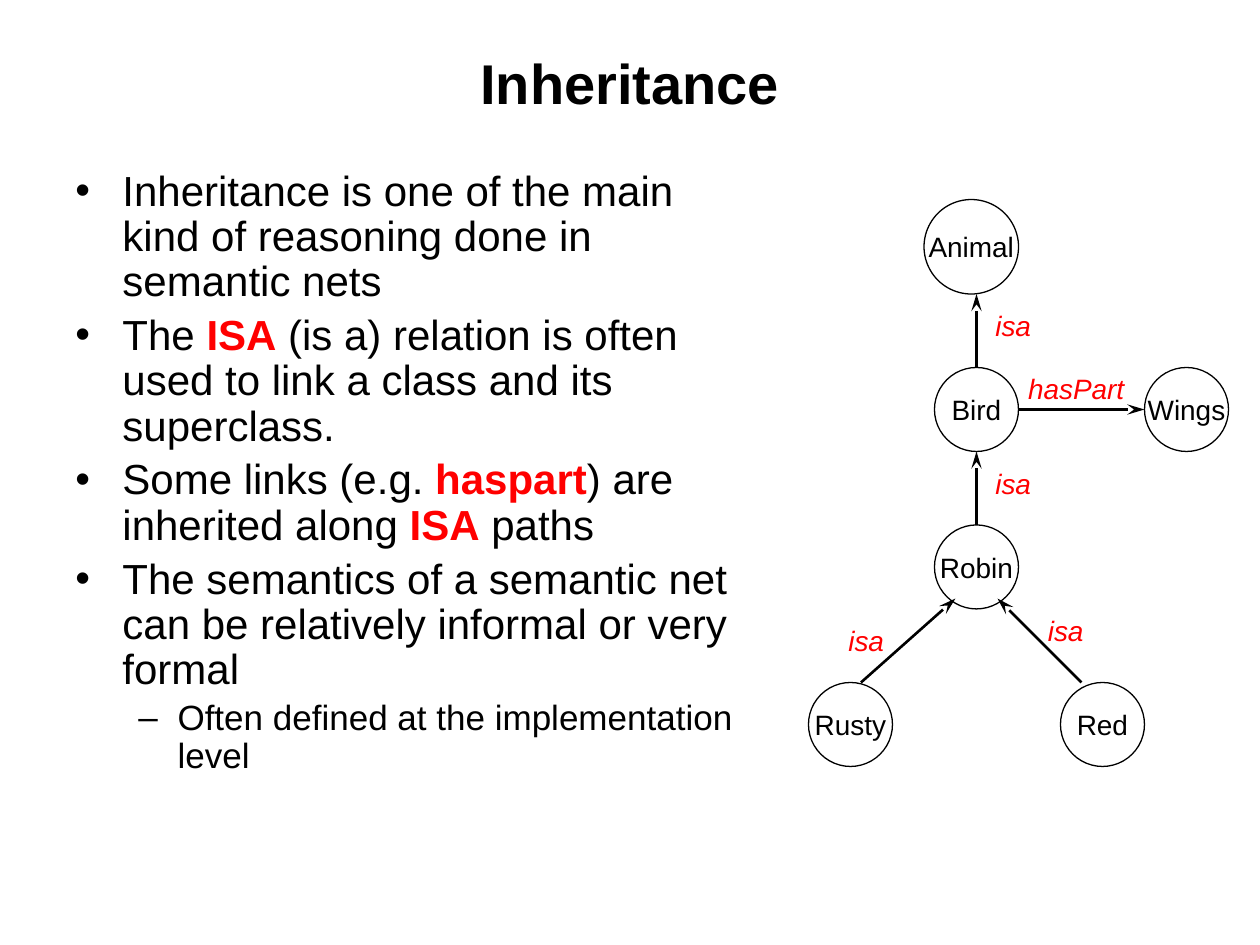
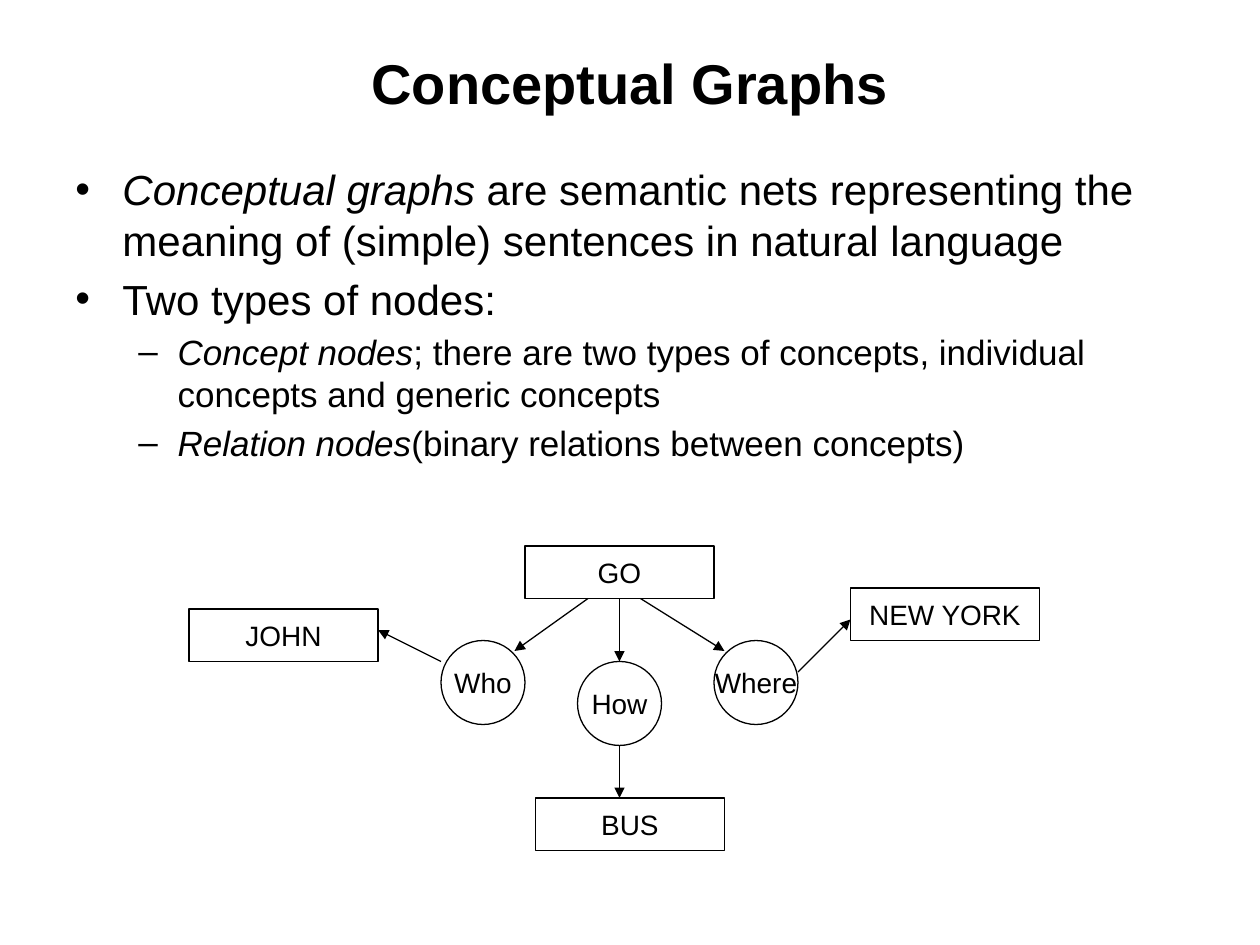
from dataclasses import dataclass

from lxml.etree import SubElement
from pptx import Presentation
from pptx.dml.color import RGBColor
from pptx.enum.shapes import MSO_CONNECTOR, MSO_SHAPE
from pptx.enum.text import MSO_ANCHOR, PP_ALIGN
from pptx.oxml.ns import qn
from pptx.util import Cm, Pt

# Text is a list of (level, runs); a run is (text, style).
# Diagram positions are in twelfths of an inch: nodes and labels by centre.
INHERITANCE = {
    "title": "Inheritance",
    "body_place": (1.27, 3.3, 14.17, 13.84),
    "line_spacing": 0.9,
    "body": [
        (0, [("Inheritance is one of the main kind of reasoning done in semantic nets", "plain")]),
        (0, [("The ", "plain"), ("ISA", "key"),
             (" (is a) relation is often used to link a class and its superclass.", "plain")]),
        (0, [("Some links (e.g. ", "plain"), ("haspart", "key"),
             (") are inherited along ", "plain"), ("ISA", "key"), (" paths", "plain")]),
        (0, [("The semantics of a semantic net can be relatively informal or very formal", "plain")]),
        (1, [("Often defined at the implementation level", "plain")]),
    ],
    "nodes": [
        ("Animal", "large circle", 92.5, 23.5),
        ("Bird", "circle", 93, 39),
        ("Wings", "circle", 113, 39),
        ("Robin", "circle", 93, 54),
        ("Rusty", "circle", 81, 69),
        ("Red", "circle", 105, 69),
    ],
    "arrow": ("stealth", "lg", 1.5),
    "links": [
        ((93, 35), (93, 28)),
        ((97, 39), (109, 39)),
        ((93, 50), (93, 43)),
        ((82, 65), (91, 57)),
        ((103, 65), (95, 57)),
    ],
    # Text, centre and width
    "labels": [
        ("isa", 96.5, 31, 5),
        ("hasPart", 102.5, 37, 11),
        ("isa", 96.5, 46, 5),
        ("isa", 82.5, 61, 5),
        ("isa", 101.5, 60, 5),
    ],
}

CONCEPTUAL_GRAPHS = {
    "title": "Conceptual Graphs",
    "body_place": (1.27, 3.18, 22.86, 6.99),
    "line_spacing": 1.0,
    "body": [
        (0, [("Conceptual graphs ", "term"),
             ("are semantic nets representing the meaning of (simple) sentences"
              " in natural language", "plain")]),
        (0, [("Two types of nodes:", "plain")]),
        (1, [("Concept nodes", "term"),
             ("; there are two types of concepts, individual concepts and generic concepts", "plain")]),
        (1, [("Relation nodes", "term"), ("(binary relations between concepts)", "plain")]),
    ],
    "nodes": [
        ("GO", "box", 59, 54.5),
        ("BUS", "box", 60, 78.5),
        ("NEW YORK", "box", 90, 58.5),
        ("JOHN", "box", 27, 60.5),
        ("Who", "circle", 46, 65),
        ("How", "circle", 59, 67),
        ("Where", "circle", 72, 65),
    ],
    "arrow": ("triangle", "med", 0.75),
    "links": [
        ((59, 57), (59, 63)),
        ((61, 57), (69, 62)),
        ((56, 57), (49, 62)),
        ((59, 71), (59, 76)),
        ((76, 64), (81, 59)),
        ((42, 63), (36, 60)),
    ],
    "labels": [],
}

NODE_KINDS = {
    "circle": (MSO_SHAPE.OVAL, 8, 8),
    "large circle": (MSO_SHAPE.OVAL, 9, 9),
    "box": (MSO_SHAPE.RECTANGLE, 18, 5),
}
LABEL_HEIGHT = 3
TITLE_PLACE = (1.27, 0.76, 22.86, 1.78)
# Per level: bullet, left margin and hanging indent in cm
LEVELS = [("•", 0.95, 0.95), ("–", 2.06, 0.79)]


@dataclass(frozen=True)
class Theme:
    font: str = "Arial"
    ink: RGBColor = RGBColor(0, 0, 0)
    accent: RGBColor = RGBColor(255, 0, 0)
    title_size: int = 32
    body_sizes: tuple = (24, 20)
    diagram_size: int = 16
    outline: float = 0.75


THEME = Theme()


def grid(units):
    return Cm(units * 2.54 / 12)


def centred(x, y, width, height):
    return grid(x - width / 2), grid(y - height / 2), grid(width), grid(height)


def style_font(font, size, color=THEME.ink, bold=False, italic=False):
    font.name = THEME.font
    font.size = Pt(size)
    font.color.rgb = color
    font.bold = bold
    font.italic = italic


def write_centred(frame, text, size, wrap=False, **style):
    frame.word_wrap = wrap
    frame.vertical_anchor = MSO_ANCHOR.MIDDLE
    frame.text = text
    paragraph = frame.paragraphs[0]
    paragraph.alignment = PP_ALIGN.CENTER
    style_font(paragraph.runs[0].font, size, **style)


def add_title(slide, title):
    box = slide.shapes.add_textbox(*map(Cm, TITLE_PLACE))
    write_centred(box.text_frame, title, THEME.title_size, wrap=True, bold=True)


def add_bullet(paragraph, level):
    bullet, margin, hanging = LEVELS[level]
    properties = paragraph._p.get_or_add_pPr()
    properties.set("marL", str(Cm(margin)))
    properties.set("indent", str(-Cm(hanging)))
    SubElement(properties, qn("a:buFont")).set("typeface", THEME.font)
    SubElement(properties, qn("a:buChar")).set("char", bullet)


def add_body(slide, place, body, line_spacing):
    frame = slide.shapes.add_textbox(*map(Cm, place)).text_frame
    frame.word_wrap = True
    for index, (level, runs) in enumerate(body):
        paragraph = frame.add_paragraph() if index else frame.paragraphs[0]
        size = THEME.body_sizes[level]
        paragraph.level = level
        add_bullet(paragraph, level)
        style_font(paragraph.font, size)
        paragraph.line_spacing = line_spacing
        paragraph.space_before = Pt(size * 0.2 if index else 0)
        for text, style in runs:
            run = paragraph.add_run()
            run.text = text
            style_font(run.font, size,
                       color=THEME.accent if style == "key" else THEME.ink,
                       bold=style == "key", italic=style == "term")


def add_node(slide, name, kind, x, y):
    preset, width, height = NODE_KINDS[kind]
    node = slide.shapes.add_shape(preset, *centred(x, y, width, height))
    node.shadow.inherit = False
    node.fill.background()
    node.line.color.rgb = THEME.ink
    node.line.width = Pt(THEME.outline)
    write_centred(node.text_frame, name, THEME.diagram_size)


def add_link(slide, start, end, arrowhead, head_length, weight):
    link = slide.shapes.add_connector(MSO_CONNECTOR.STRAIGHT, *map(grid, start + end))
    link.line.color.rgb = THEME.ink
    link.line.width = Pt(weight)
    properties = link.element.spPr
    head = SubElement(properties.find(qn("a:ln")), qn("a:tailEnd"))
    head.set("type", arrowhead)
    head.set("len", head_length)
    SubElement(properties, qn("a:effectLst"))


def add_label(slide, text, x, y, width):
    """Put a link's name on one line, in a box without margins."""
    frame = slide.shapes.add_textbox(*centred(x, y, width, LABEL_HEIGHT)).text_frame
    frame.margin_left = frame.margin_right = frame.margin_top = frame.margin_bottom = 0
    write_centred(frame, text, THEME.diagram_size, color=THEME.accent, italic=True)


def build_slide(deck, topic):
    slide = deck.slides.add_slide(deck.slide_layouts[6])
    add_title(slide, topic["title"])
    add_body(slide, topic["body_place"], topic["body"], topic["line_spacing"])
    for node in topic["nodes"]:
        add_node(slide, *node)
    for start, end in topic["links"]:
        add_link(slide, start, end, *topic["arrow"])
    for label in topic["labels"]:
        add_label(slide, *label)


def main():
    deck = Presentation()
    deck.slide_width, deck.slide_height = Cm(25.4), Cm(19.05)
    for topic in (INHERITANCE, CONCEPTUAL_GRAPHS):
        build_slide(deck, topic)
    deck.save("out.pptx")


if __name__ == "__main__":
    main()
